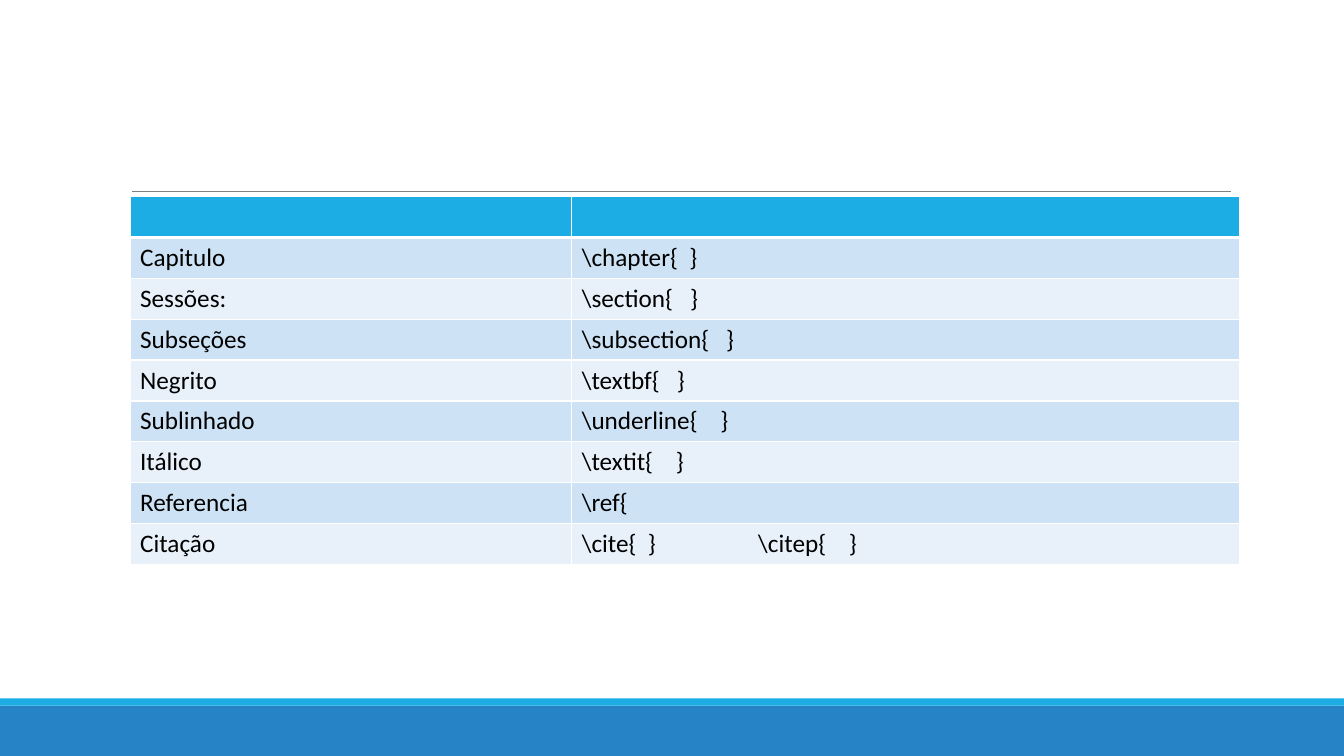
import dataclasses

import lxml.etree
import pptx
import pptx.dml.color
import pptx.enum.shapes
import pptx.enum.text
import pptx.oxml
import pptx.oxml.ns
import pptx.util

Inches = pptx.util.Inches

COMMANDS = [
    ("Capitulo", [r"\chapter{  }"]),
    ("Sessões:", [r"\section{   }"]),
    ("Subseções", [r"\subsection{   }"]),
    ("Negrito", [r"\textbf{   }"]),
    ("Sublinhado", [r"\underline{    }"]),
    ("Itálico", [r"\textit{    }"]),
    ("Referencia", [r"\ref{"]),
    ("Citação", [r"\cite{  }", r"\citep{    }"]),
]
COLUMN_WIDTHS = [4.38, 6.62]
TABLE_LEFT, TABLE_TOP, TABLE_HEIGHT = 1.29, 1.95, 3.65
SECOND_COMMAND_TAB = 1.75


@dataclasses.dataclass(frozen=True)
class Theme:
    accent: str = "1CADE4"
    footer: str = "2683C6"
    rule: str = "808080"
    text: str = "000000"
    border: str = "FFFFFF"
    bands: tuple = ("CDE3F5", "E8F1FA")
    font: str = "Calibri"
    size: int = 18


THEME = Theme()


def color(value):
    return pptx.dml.color.RGBColor.from_string(value)


def add_band(slide, top, height, fill):
    shape = slide.shapes.add_shape(
        pptx.enum.shapes.MSO_SHAPE.RECTANGLE,
        0, Inches(top), Inches(13.33), Inches(height),
    )
    shape.shadow.inherit = False
    shape.fill.solid()
    shape.fill.fore_color.rgb = color(fill)
    shape.line.fill.background()


def add_rule(slide):
    rule = slide.shapes.add_connector(
        pptx.enum.shapes.MSO_CONNECTOR.STRAIGHT,
        Inches(1.31), Inches(1.9), Inches(12.21), Inches(1.9),
    )
    rule.line.color.rgb = color(THEME.rule)
    rule.line.width = pptx.util.Pt(0.5)
    lxml.etree.SubElement(
        rule._element.spPr, pptx.oxml.ns.qn("a:effectLst")
    )


def set_borders(cell, widths):
    properties = cell._tc.get_or_add_tcPr()
    for index, (side, width) in enumerate(widths.items()):
        border = pptx.oxml.parse_xml(
            f'<a:ln{side} {pptx.oxml.ns.nsdecls("a")} w="{pptx.util.Pt(width)}">'
            f'<a:solidFill><a:srgbClr val="{THEME.border}"/></a:solidFill>'
            f"</a:ln{side}>"
        )
        properties.insert(index, border)


def write_cell(cell, parts):
    paragraph = cell.text_frame.paragraphs[0]
    paragraph.font.size = pptx.util.Pt(THEME.size)
    if len(parts) > 1:
        paragraph._p.get_or_add_pPr().insert(0, pptx.oxml.parse_xml(
            f'<a:tabLst {pptx.oxml.ns.nsdecls("a")}>'
            f'<a:tab pos="{Inches(SECOND_COMMAND_TAB)}" algn="l"/></a:tabLst>'
        ))
    run = paragraph.add_run()
    run.text = "\t".join(parts)
    run.font.name = THEME.font
    run.font.size = pptx.util.Pt(THEME.size)
    run.font.color.rgb = color(THEME.text)


def add_command_table(slide):
    row_count = len(COMMANDS) + 1
    table = slide.shapes.add_table(
        row_count, len(COLUMN_WIDTHS), Inches(TABLE_LEFT), Inches(TABLE_TOP),
        Inches(sum(COLUMN_WIDTHS)), Inches(TABLE_HEIGHT),
    ).table
    for column, width in zip(table.columns, COLUMN_WIDTHS):
        column.width = Inches(width)
    for row_index, row in enumerate(table.rows):
        row.height = Inches(TABLE_HEIGHT / row_count)
        header = row_index == 0
        fill = THEME.accent if header else THEME.bands[(row_index - 1) % 2]
        widths = {
            "L": 1, "R": 1,
            "T": 3 if row_index == 1 else 1,
            "B": 3 if header else 1,
        }
        for cell in row.cells:
            cell.fill.solid()
            cell.fill.fore_color.rgb = color(fill)
            set_borders(cell, widths)
            cell.text_frame.paragraphs[0].font.size = pptx.util.Pt(THEME.size)
    for row_index, (label, commands) in enumerate(COMMANDS, start=1):
        write_cell(table.cell(row_index, 0), [label])
        write_cell(table.cell(row_index, 1), commands)


def main():
    presentation = pptx.Presentation()
    presentation.slide_width = Inches(13.33)
    presentation.slide_height = Inches(7.5)
    slide = presentation.slides.add_slide(presentation.slide_layouts[6])
    add_band(slide, 7, 0.5, THEME.footer)
    add_band(slide, 6.93, 0.07, THEME.accent)
    add_rule(slide)
    add_command_table(slide)
    presentation.save("out.pptx")


if __name__ == "__main__":
    main()
